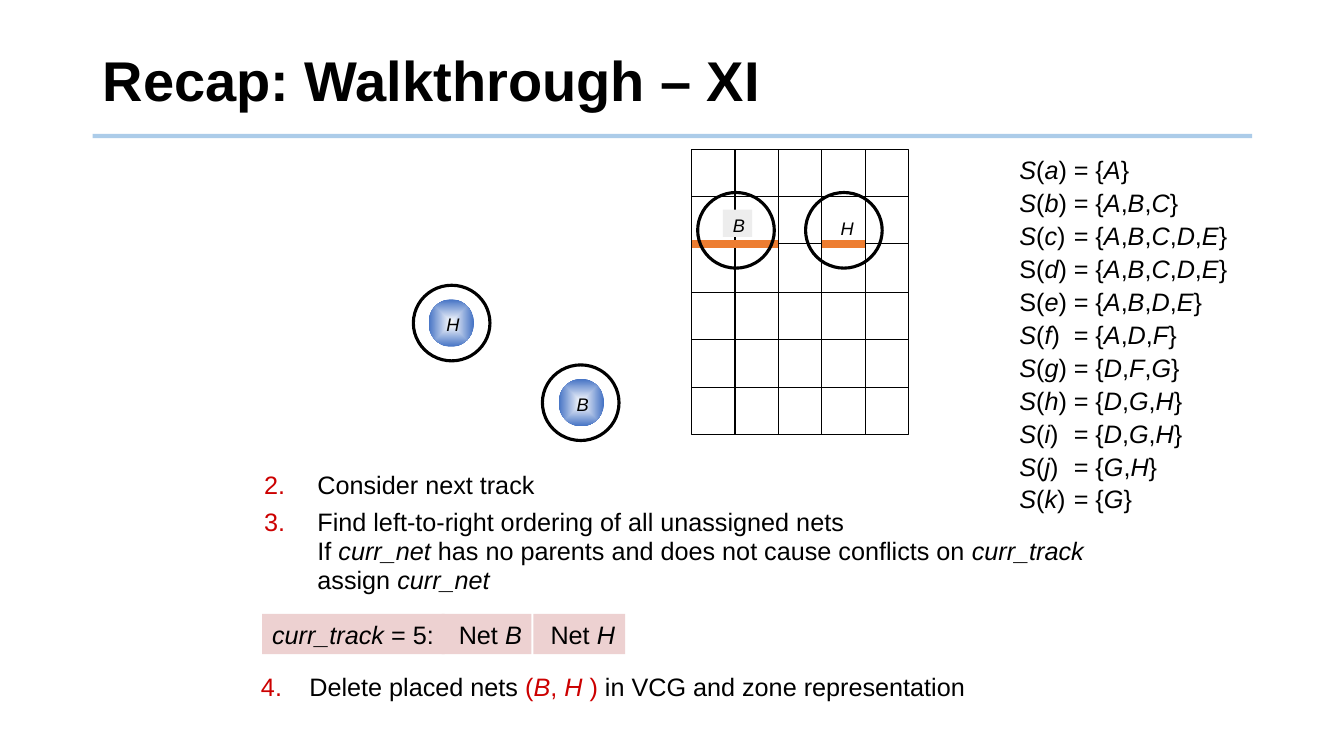
from pptx import Presentation
from pptx import util as u
from pptx.dml.color import RGBColor
from pptx.enum import shapes, text
from pptx.oxml import parse_xml
from pptx.oxml.ns import nsdecls, qn

PX = 9144  # 100 px to the inch
COLORS = {
    "ink": "000000", "red": "CC0000", "pink": "EDD1D1", "grey": "EDEDED",
    "orange": "ED7D31", "blue": "4472C4", "white": "FFFFFF", "rule": "5B9BD5",
}
GRID = {"left": 686, "top": 148, "width": 215, "height": 283}
COLUMNS, ROWS = 5, 6
NET_SETS = {
    "a": "A", "b": "ABC", "c": "ABCDE", "d": "ABCDE", "e": "ABDE", "f": "ADF",
    "g": "DFG", "h": "DGH", "i": "DGH", "j": "GH", "k": "G",
}
UPRIGHT_SETS = "de"
NODES = {"B": (554, 376), "H": (425, 297)}
RINGS = [(538, 362), (692, 191), (410, 283), (799, 191)]
TRACK_CELLS = [
    ("*curr_track* = 5:", 260, 181, 10),
    ("Net *B*", 438, 89, 17),
    ("Net *H*", 529, 91, 17),
]
STEPS = [
    "Consider next track",
    "Find left-to-right ordering of all unassigned nets\n"
    "If *curr_net *has no parents and does not cause conflicts on *curr_track*\n"
    "assign *curr_net*",
]
DELETE_STEP = "Delete placed nets ~(*B*, *H *)~ in VCG and zone representation"


def px(value):
    return u.Emu(value * PX)


def rgb(name):
    return RGBColor.from_string(COLORS[name])


def apply(target, values):
    for name, value in values.items():
        setattr(target, name, value)


def add_spans(para, markup, size):
    """Write markup in which * switches italics and ~ switches red."""
    for red, tinted in enumerate(markup.split("~")):
        for italic, words in enumerate(tinted.split("*")):
            for number, line in enumerate(words.split("\n")):
                if number:
                    para.add_line_break()
                if line:
                    span = para.add_run()
                    span.text = line
                    apply(span.font, {"name": "Arial", "size": u.Pt(size),
                                      "italic": bool(italic % 2)})
                    span.font.color.rgb = rgb("red" if red % 2 else "ink")


def write(box, lines, size=18, insets=(10, 5, 10, 5), wrap=True, spacing=None):
    frame = box.text_frame
    left, top, right, bottom = map(px, insets)
    apply(frame, {
        "margin_left": left, "margin_top": top, "margin_right": right,
        "margin_bottom": bottom, "word_wrap": wrap,
        "vertical_anchor": text.MSO_ANCHOR.TOP,
    })
    for number, line in enumerate(lines):
        para = frame.add_paragraph() if number else frame.paragraphs[0]
        apply(para, {"alignment": text.PP_ALIGN.LEFT, "line_spacing": spacing})
        add_spans(para, line, size)
    return frame.paragraphs


def add_text(page, lines, left, top, width, height, **options):
    box = page.shapes.add_textbox(*map(px, (left, top, width, height)))
    return write(box, lines, **options)


def add_shape(page, kind, left, top, width, height, fill=None, line=None):
    shape = page.shapes.add_shape(kind, *map(px, (left, top, width, height)))
    shape.shadow.inherit = False
    if fill:
        shape.fill.solid()
        shape.fill.fore_color.rgb = rgb(fill)
    else:
        shape.fill.background()
    if line:
        shape.line.color.rgb = rgb("ink")
        shape.line.width = u.Pt(line)
    else:
        shape.line.fill.background()
    return shape


def add_line(page, x1, y1, x2, y2, color="ink", width=0.75):
    line = page.shapes.add_connector(
        shapes.MSO_CONNECTOR.STRAIGHT, *map(px, (x1, y1, x2, y2)))
    line.line.color.rgb = rgb(color)
    line.line.width = u.Pt(width)
    line._element.spPr.append(parse_xml(f"<a:effectLst {nsdecls('a')}/>"))
    return line


def add_title(page):
    rule = add_line(page, 92, 135, 1242, 135, "rule", 3)
    tint = next(rule._element.spPr.iter(qn("a:srgbClr")))
    tint.append(parse_xml(f'<a:alpha {nsdecls("a")} val="50000"/>'))
    title = page.shapes.title
    apply(title, {"left": px(92), "top": px(28),
                  "width": px(1150), "height": px(110)})
    para = write(title, ["Recap: Walkthrough – XI"], size=40, spacing=0.9)[0]
    para.runs[0].font.bold = True
    apply(title.text_frame, {"vertical_anchor": text.MSO_ANCHOR.MIDDLE,
                             "auto_size": text.MSO_AUTO_SIZE.NONE})


def add_grid(page):
    left, top, width, height = GRID.values()
    add_shape(page, shapes.MSO_SHAPE.RECTANGLE, *GRID.values(), line=0.75)
    for column in range(1, COLUMNS):
        x = left + width * column // COLUMNS
        add_line(page, x, top, x, top + height)
    for row in range(1, ROWS):
        y = top + round(height * row / ROWS)
        add_line(page, left, y, left + width, y)


def add_node(page, net, left, top):
    """Draw a net as a disc that shades from a white centre to a blue rim."""
    disc = add_shape(page, shapes.MSO_SHAPE.OVAL, left, top, 45, 47)
    disc.fill.gradient()
    for stop, color, position in zip(disc.fill.gradient_stops,
                                     ("white", "blue"), (0, 1)):
        stop.color.rgb = rgb(color)
        stop.position = position
    shading = disc._element.spPr.find(qn("a:gradFill"))
    shading.remove(shading.find(qn("a:lin")))
    shading.append(parse_xml(
        f'<a:path {nsdecls("a")} path="shape"><a:fillToRect l="50000" '
        't="50000" r="50000" b="50000"/></a:path>'))
    add_text(page, [f"*{net}*"], left + 8, top + 9, 43, 31, size=13)


def add_placed_nets(page):
    add_line(page, 686, 242, 772, 242, "orange", 6)
    add_line(page, 815, 242, 858, 242, "orange", 6)
    label = add_shape(page, shapes.MSO_SHAPE.RECTANGLE, 717, 208, 29, 27, "grey")
    write(label, ["*B*"], size=13, insets=(10, 5, 10, 0))
    add_text(page, ["*H*"], 824, 211, 29, 32, size=13)


def number_steps(paras, start, margin, hanging):
    for number, para in enumerate(paras, start):
        if number > start:
            para.space_before = u.Pt(6)
        properties = para._p.get_or_add_pPr()
        properties.set("marL", str(px(margin)))
        properties.set("indent", str(-px(hanging)))
        for xml in (
            f'<a:buClr {nsdecls("a")}><a:srgbClr val="{COLORS["red"]}"/></a:buClr>',
            f'<a:buFont {nsdecls("a")} typeface="Arial"/>',
            f'<a:buAutoNum {nsdecls("a")} type="arabicPeriod" startAt="{number}"/>',
        ):
            properties.append(parse_xml(xml))


def add_net_sets(page):
    lines = []
    for column, nets in NET_SETS.items():
        name = "S" if column in UPRIGHT_SETS else "*S*"
        members = ",".join(f"*{net}*" for net in nets)
        lines.append(f"{name}(*{column}*)\t= {{{members}}}")
    paras = add_text(page, lines, 990, 146, 252, 371,
                     insets=(21, 5, 10, 7), spacing=u.Pt(23.5))
    for para in paras:
        para._p.get_or_add_pPr().append(parse_xml(
            f'<a:tabLst {nsdecls("a")}><a:tab pos="{px(54)}" algn="l"/></a:tabLst>'))


def main():
    deck = Presentation()
    deck.slide_width, deck.slide_height = px(1333), px(750)
    page = deck.slides.add_slide(deck.slide_layouts[5])
    add_title(page)
    add_grid(page)
    for net, corner in NODES.items():
        add_node(page, net, *corner)
    add_placed_nets(page)
    for words, left, width, inset in TRACK_CELLS:
        cell = add_shape(page, shapes.MSO_SHAPE.RECTANGLE,
                         left, 609, width, 40, "pink")
        write(cell, [words], insets=(inset, 5, 5, 5), wrap=False)
    for left, top in RINGS:
        add_shape(page, shapes.MSO_SHAPE.OVAL, left, top, 76, 75, line=2.25)
    number_steps(add_text(page, [DELETE_STEP], 202, 666, 915, 35, spacing=0.85),
                 4, 95, 48)
    number_steps(add_text(page, STEPS, 252, 463, 865, 134, spacing=0.95),
                 2, 53, 53)
    add_net_sets(page)
    deck.save("out.pptx")


if __name__ == "__main__":
    main()
